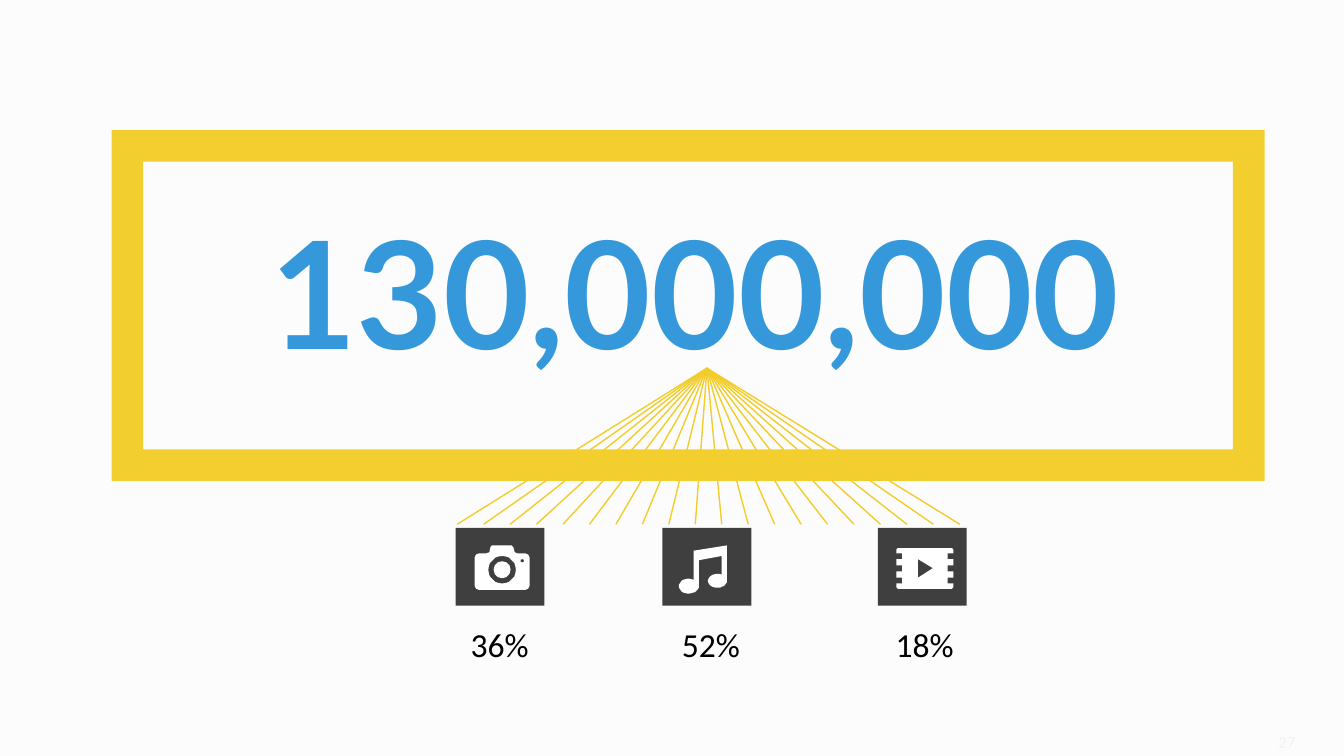
import math
from lxml import etree
from pptx import Presentation
from pptx import util as u
from pptx.dml import color
from pptx.enum import shapes, text
from pptx.oxml import ns

Cm = u.Cm
C = {"bg": "FCFCFC", "tile": "3F3F3F", "ray": "F2CC29", "frame": "F3CE2F",
     "number": "3598DB", "icon": "FFFFFF", "label": "000000", "page": "F2F2F2"}


def paint(sp, name):
    sp.shadow.inherit = False
    sp.fill.solid()
    sp.fill.fore_color.rgb = color.RGBColor.from_string(C[name])
    sp.line.fill.background()


def arc(cx, cy, rx, ry, a0=0, a1=360, n=24):
    angles = [math.radians(a0 + (a1 - a0) * i / n) for i in range(n + 1)]
    return [(cx + rx * math.cos(a), cy + ry * math.sin(a)) for a in angles]


prs = Presentation()
prs.slide_width, prs.slide_height = Cm(25.4), Cm(14.29)
s = prs.slides.add_slide(prs.slide_layouts[5])
s.background.fill.solid()
s.background.fill.fore_color.rgb = color.RGBColor.from_string(C["bg"])

title = s.shapes.title
place = {"left": 3.43, "top": 3.66, "width": 19.41, "height": 3.68}
for key, value in place.items():
    setattr(title, key, Cm(value))

page = s.shapes.add_shape(shapes.MSO_SHAPE.OVAL, Cm(23.32), Cm(13.54), Cm(2.01), Cm(0.99))
page.shadow.inherit = False
page.fill.background()
page.line.fill.background()

for x in (8.61, 12.52, 16.59):
    tile = s.shapes.add_shape(shapes.MSO_SHAPE.RECTANGLE, Cm(x), Cm(9.98), Cm(1.68), Cm(1.47))
    paint(tile, "tile")

rays = s.shapes.add_group_shape()
for i in range(20):
    ray = rays.shapes.add_connector(shapes.MSO_CONNECTOR.STRAIGHT, Cm(8.64 + 0.5 * i), Cm(9.91),
                                    Cm(13.36), Cm(6.96))
    ray.line.color.rgb = color.RGBColor.from_string(C["ray"])
    ray.line.width = u.Pt(0.75)
    etree.SubElement(ray._element.spPr, ns.qn("a:effectLst"))

camera = [
    arc(907, 1056, 10, 10, 180, 270)
    + [(919, 1046), (925, 1044), (927, 1034), (930, 1031),
       (967, 1031), (970, 1034), (973, 1044), (978, 1046)]
    + arc(991, 1056, 10, 10, 270, 360)
    + arc(991, 1105, 10, 10, 0, 90)
    + arc(907, 1105, 10, 10, 90, 180),
    arc(949, 1077, 26, 26),
    arc(949, 1077, 16, 16),
    arc(987, 1060, 3, 3),
]
note = [
    [(1311, 1041)]
    + arc(1302, 1108, 19, 14, -62, -360)
    + [(1321, 1059), (1364, 1051)]
    + arc(1356, 1098, 18, 13, -62, -360)
    + [(1374, 1031)]
]
notches = [1046, 1069, 1092]
right = [p for y in notches for p in ((1802, y), (1791, y), (1791, y + 11), (1802, y + 11))]
left = [p for y in reversed(notches)
        for p in ((1694, y + 11), (1705, y + 11), (1705, y), (1694, y))]
film = [
    [(1697, 1036), (1799, 1036), (1802, 1039)] + right
    + [(1802, 1110), (1799, 1113), (1697, 1113), (1694, 1110)] + left + [(1694, 1039)],
    [(1735, 1057), (1763, 1074), (1735, 1092)],
]
for outlines in (camera, note, film):
    fb = s.shapes.build_freeform(*outlines[0][0], scale=Cm(0.01))
    fb.add_line_segments(outlines[0][1:], close=True)
    for outline in outlines[1:]:
        fb.move_to(*outline[0])
        fb.add_line_segments(outline[1:], close=True)
    paint(fb.convert_to_shape(), "icon")

number = {"name": "Lato", "size": u.Pt(80), "bold": True}
label = {"name": "Calibri", "size": u.Pt(18)}
small = {"name": "Lato", "size": u.Pt(8)}
middle, top = text.MSO_ANCHOR.MIDDLE, text.MSO_ANCHOR.TOP
texts = [(title, "130,000,000", number, "number", top), (page, "27", small, "page", middle)]
for x, share in ((7.26, "36%"), (11.25, "52%"), (15.29, "18%")):
    box = s.shapes.add_textbox(Cm(x), Cm(11.28), Cm(4.37), Cm(1.78))
    texts.append((box, share, label, "label", middle))

for sp, words, fmt, name, anchor in texts:
    tf = sp.text_frame
    tf.word_wrap = True
    tf.auto_size = text.MSO_AUTO_SIZE.NONE
    tf.vertical_anchor = anchor
    p = tf.paragraphs[0]
    p.alignment = text.PP_ALIGN.CENTER
    r = p.add_run()
    r.text = words
    for key, value in fmt.items():
        setattr(r.font, key, value)
    r.font.color.rgb = color.RGBColor.from_string(C[name])

frame = s.shapes.add_shape(shapes.MSO_SHAPE.FRAME, Cm(2.11), Cm(2.46), Cm(21.79), Cm(6.63))
frame.adjustments[0] = 0.09
paint(frame, "frame")

prs.save("out.pptx")
